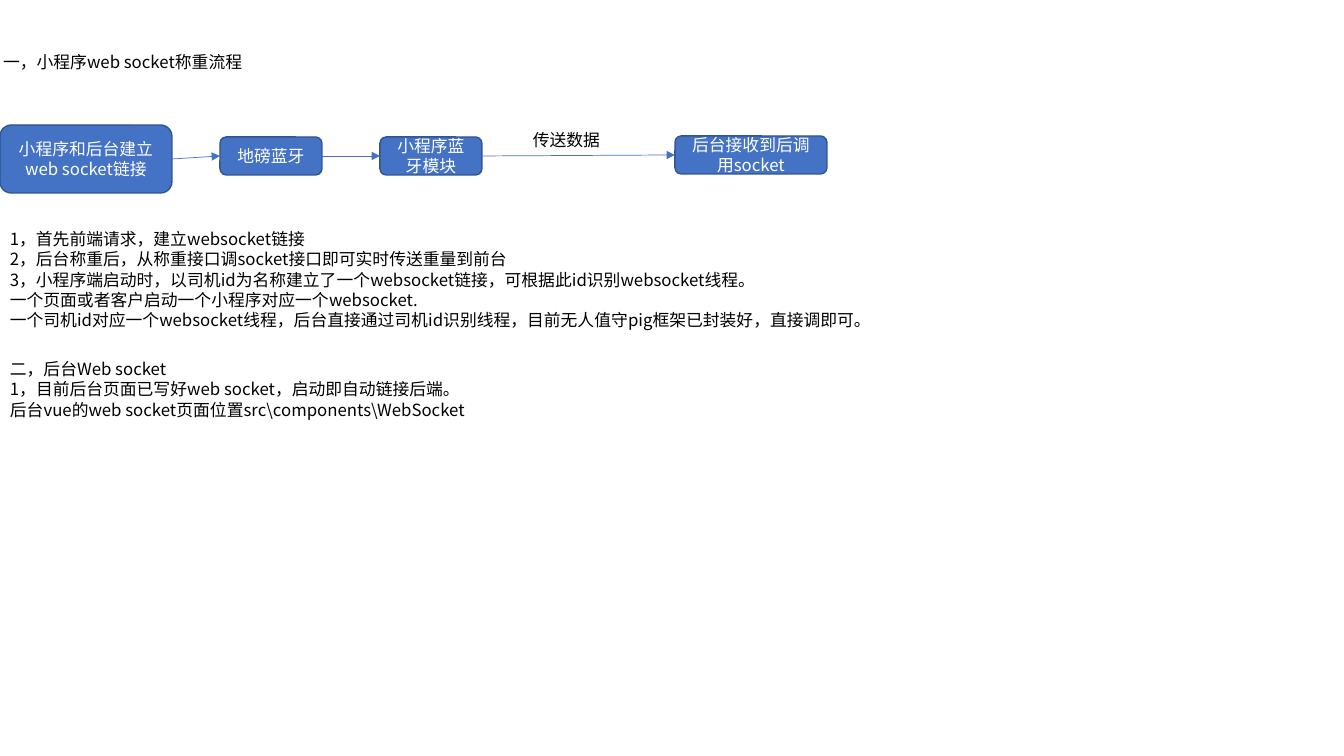
from dataclasses import dataclass
from itertools import pairwise

from pptx import Presentation
from pptx.dml.color import RGBColor as RGB
from pptx.enum.shapes import MSO_CONNECTOR as CONN, MSO_SHAPE as SHAPE
from pptx.enum.text import MSO_ANCHOR as ANCHOR, MSO_AUTO_SIZE as AUTO, PP_ALIGN as ALIGN
from pptx.oxml.ns import qn
from pptx.util import Emu, Pt
from lxml.etree import SubElement


@dataclass(frozen=True)
class Theme:
    font: str = "Noto Sans CJK SC"
    size: int = 12
    ink: RGB = RGB(0, 0, 0)
    paper: RGB = RGB(255, 255, 255)
    blue: RGB = RGB(0x44, 0x72, 0xC4)
    edge: RGB = RGB(0x32, 0x54, 0x91)


T = Theme()
SCALE = 914400 / 100.8
RIGHT_SITE, LEFT_SITE = 3, 1

TITLE = "一，小程序web socket称重流程"
# Each step: offset in the flow region, size, wording
STEPS = [
    ((0, 0, 172, 68), "小程序和后台建立web socket链接"),
    ((220, 12, 102, 38), "地磅蓝牙"),
    ((380, 12, 102, 38), "小程序蓝牙模块"),
    ((675, 11, 152, 38), "后台接收到后调用socket"),
]
DATA_LABEL = ((523, 0, 102, 30), "传送数据")
MINI_APP_NOTES = [
    "1，首先前端请求，建立websocket链接",
    "2，后台称重后，从称重接口调socket接口即可实时传送重量到前台",
    "3，小程序端启动时，以司机id为名称建立了一个websocket链接，可根据此id识别websocket线程。",
    "一个页面或者客户启动一个小程序对应一个websocket.",
    "一个司机id对应一个websocket线程，后台直接通过司机id识别线程，目前无人值守pig框架已封装好，直接调即可。",
]
BACKEND_NOTES = [
    "二，后台Web socket",
    "1，目前后台页面已写好web socket，启动即自动链接后端。",
    "后台vue的web socket页面位置src\\components\\WebSocket",
]


def px(*values):
    return [Emu(round(v * SCALE)) for v in values]


def set_all(target, **values):
    for name, value in values.items():
        setattr(target, name, value)


def write(sp, lines, color=T.ink, align=ALIGN.LEFT, anchor=ANCHOR.TOP, fit=AUTO.SHAPE_TO_FIT_TEXT):
    tf = sp.text_frame
    set_all(tf, text="\n".join(lines), word_wrap=True, auto_size=fit, vertical_anchor=anchor)
    for p in tf.paragraphs:
        p.alignment = align
        for r in p.runs:
            set_all(r.font, name=T.font, size=Pt(T.size))
            r.font.color.rgb = color
            SubElement(r.font._element, qn("a:ea"), typeface=T.font)


def add_title(s, box):
    sp = s.shapes.title
    set_all(sp, **dict(zip(("left", "top", "width", "height"), px(*box))))
    write(sp, [TITLE])


def add_text(s, box, lines):
    write(s.shapes.add_textbox(*px(*box)), lines)


def add_step(s, box, text):
    sp = s.shapes.add_shape(SHAPE.ROUNDED_RECTANGLE, *px(*box))
    sp.shadow.inherit = False
    sp.fill.solid()
    sp.fill.fore_color.rgb = T.blue
    sp.line.color.rgb = T.edge
    sp.line.width = Pt(1)
    write(sp, [text], T.paper, ALIGN.CENTER, ANCHOR.MIDDLE, AUTO.NONE)
    return sp


def add_arrow(s, start, end):
    cx = s.shapes.add_connector(CONN.STRAIGHT, 0, 0, 0, 0)
    cx.begin_connect(start, RIGHT_SITE)
    cx.end_connect(end, LEFT_SITE)
    cx.line.color.rgb = T.blue
    cx.line.width = Pt(0.5)
    SubElement(cx.line._get_or_add_ln(), qn("a:tailEnd"), type="triangle")
    SubElement(cx._element.spPr, qn("a:effectLst"))


def add_flow(s, left, top):
    def place(box):
        x, y, w, h = box
        return left + x, top + y, w, h

    steps = [add_step(s, place(box), text) for box, text in STEPS]
    for start, end in pairwise(steps):
        add_arrow(s, start, end)
    box, text = DATA_LABEL
    add_text(s, place(box), [text])


prs = Presentation()
prs.slide_width, prs.slide_height = px(1344, 756)
s = prs.slides.add_slide(prs.slide_layouts.get_by_name("Title Only"))

# Heading, flow chart and the two blocks of notes
add_title(s, (-7, 47, 329, 30))
add_flow(s, 0, 125)
add_text(s, (0, 224, 878, 112), MINI_APP_NOTES)
add_text(s, (0, 354, 510, 65), BACKEND_NOTES)

prs.save("out.pptx")
